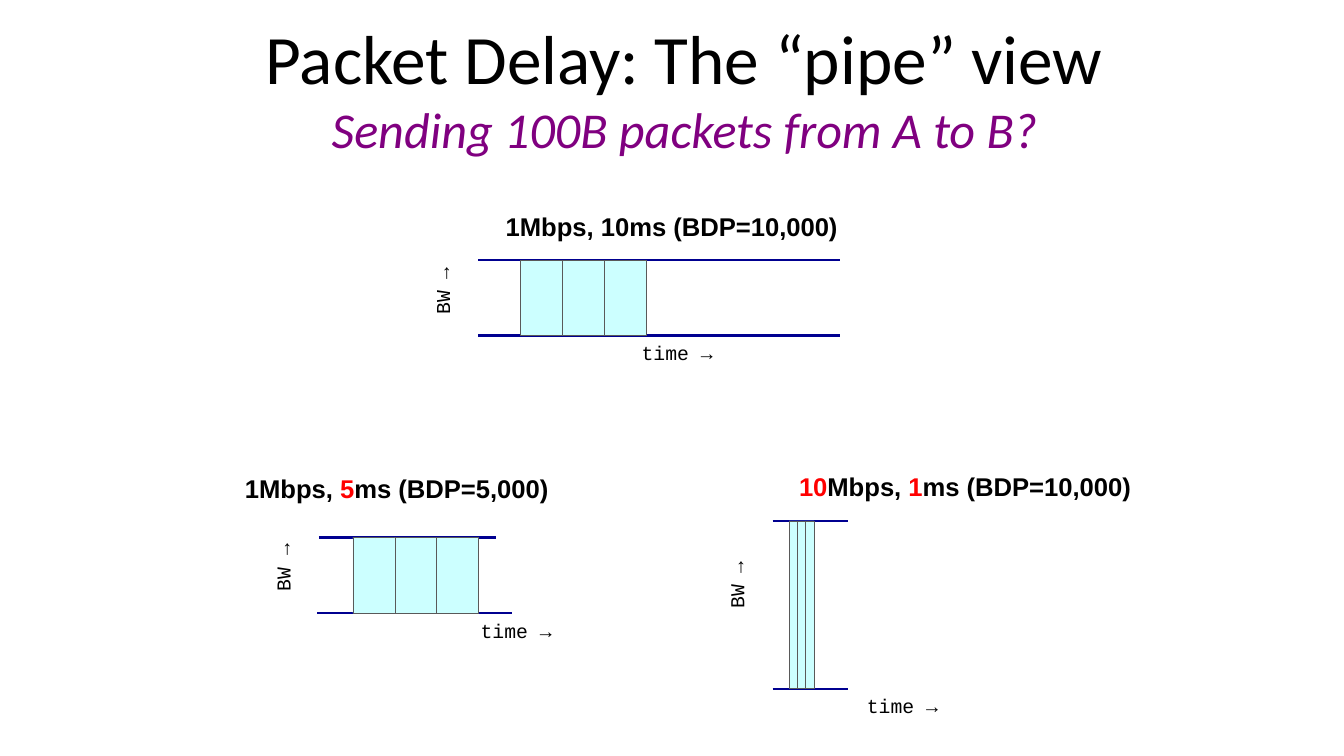
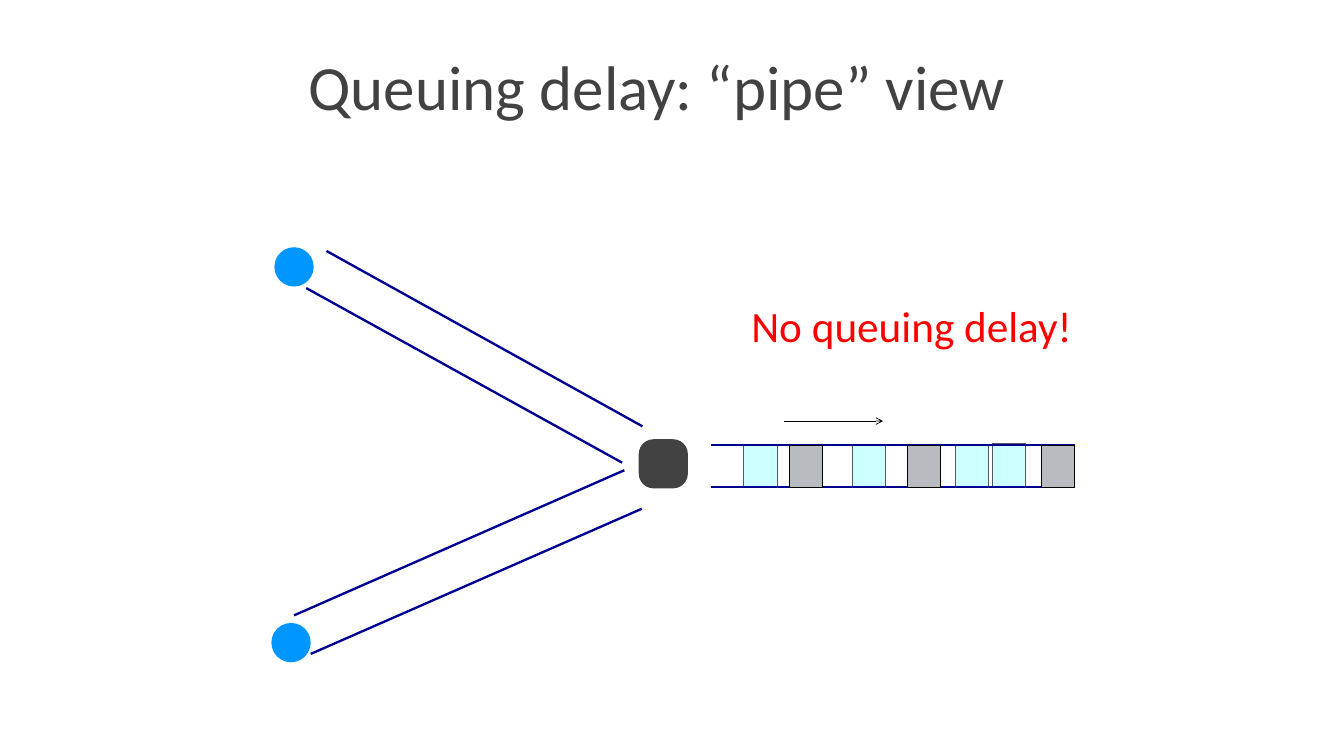
from dataclasses import dataclass

from pptx import Presentation
from pptx.dml.color import RGBColor as Color
from pptx.enum.shapes import MSO_CONNECTOR as Connector
from pptx.enum.shapes import MSO_SHAPE as Kind
from pptx.enum.text import MSO_ANCHOR as Anchor
from pptx.enum.text import MSO_AUTO_SIZE as AutoSize
from pptx.enum.text import PP_ALIGN as Align
from pptx.oxml.ns import qn
from pptx.util import Inches, Pt
from lxml.etree import SubElement


@dataclass(frozen=True)
class Theme:
    black: str = "000000"
    charcoal: str = "424242"
    purple: str = "800080"
    red: str = "FF0000"
    pipe: str = "000090"
    cyan: str = "CCFFFF"
    gray: str = "B8BCC1"
    outline: str = "595959"
    host: str = "0096FF"
    title_font: str = "Calibri"
    label_font: str = "Arial"
    axis_font: str = "Courier New"
    title: float = 66
    subtitle: float = 47.8
    plain_title: float = 60
    callout: float = 41.2
    label: float = 24.4
    axis: float = 18.8
    pipe_width: float = 2.25
    thin: float = 0.75


theme = Theme()


def draw_line(page, start, end, color=theme.pipe, width=theme.pipe_width, arrow=False):
    line = page.shapes.add_connector(Connector.STRAIGHT, *map(Inches, start + end))
    line.line.color.rgb = Color.from_string(color)
    line.line.width = Pt(width)
    if arrow:
        SubElement(line.line._get_or_add_ln(), qn("a:tailEnd"), type="arrow")
    SubElement(line._element.spPr, qn("a:effectLst"))


def draw_shape(page, kind, frame, fill, outline=None):
    shape = page.shapes.add_shape(kind, *map(Inches, frame))
    shape.shadow.inherit = False
    shape.fill.solid()
    shape.fill.fore_color.rgb = Color.from_string(fill)
    if outline:
        shape.line.color.rgb = Color.from_string(outline)
        shape.line.width = Pt(theme.thin)
    else:
        shape.line.fill.background()
    return shape


deck = Presentation()
deck.slide_width = Inches(17.78)
deck.slide_height = Inches(10)
delay_page, queue_page = [deck.slides.add_slide(deck.slide_layouts[6]) for _ in range(2)]

titles = [
    (delay_page, (2.89, 0.29, 12.33, 1.71),
     [("Packet Delay: The “pipe” view", theme.title, theme.black),
      ("Sending 100B packets from A to B?", theme.subtitle, theme.purple)]),
    (queue_page, (2.78, 0.32, 11.82, 1.62),
     [("Queuing delay: “pipe” view", theme.plain_title, theme.charcoal)]),
]
for page, frame, lines in titles:
    box = page.shapes.add_textbox(*map(Inches, frame))
    text = box.text_frame
    text.word_wrap = True
    text.vertical_anchor = Anchor.MIDDLE
    text.margin_left = text.margin_right = text.margin_top = text.margin_bottom = Inches(0.06)
    para = text.paragraphs[0]
    para.text = "\v".join(line[0] for line in lines)
    para.alignment = Align.CENTER
    for span, (_, size, color) in zip(para.runs, lines):
        span.font.name = theme.title_font
        span.font.size = Pt(size)
        span.font.color.rgb = Color.from_string(color)
        span.font.italic = color == theme.purple

captions = [
    (queue_page, (9.78, 3.89, 4.56, 0.83), [("No queuing delay!", theme.red)],
     theme.title_font, theme.callout, Align.CENTER, 0),
]

pipes = [
    dict(top=3.44, height=1, upper=(6.33, 11.11), lower=(6.33, 11.11),
         first=6.89, packet=0.555, label=(6.56, 2.64, 4.79, 0.58),
         time=8.24, bandwidth=(5.35, 3.68),
         words=[("1Mbps, 10ms (BDP=10,000)", theme.black)]),
    dict(top=6.89, height=2.22, upper=(10.22, 11.22), lower=(10.22, 11.22),
         first=10.44, packet=0.11, label=(10.44, 6.08, 4.79, 0.58),
         time=11.22, bandwidth=(9.24, 7.57),
         words=[("10", theme.red), ("Mbps, ", theme.black), ("1", theme.red),
                ("ms (BDP=10,000)", theme.black)]),
    dict(top=7.11, height=1, upper=(4.22, 6.56), lower=(4.2, 6.77),
         first=4.67, packet=0.555, label=(3.11, 6.11, 4.41, 0.58),
         time=6.11, bandwidth=(3.24, 7.34),
         words=[("1Mbps, ", theme.black), ("5", theme.red),
                ("ms (BDP=5,000)", theme.black)]),
]
for pipe in pipes:
    top, bottom = pipe["top"], pipe["top"] + pipe["height"]
    for (left, right), y in ((pipe["upper"], top), (pipe["lower"], bottom)):
        draw_line(delay_page, (left, y), (right, y))
    for index in range(3):
        left = pipe["first"] + index * pipe["packet"]
        draw_shape(delay_page, Kind.RECTANGLE, (left, top, pipe["packet"], pipe["height"]),
                   theme.cyan, theme.outline)
    captions += [
        (delay_page, pipe["label"], pipe["words"],
         theme.label_font, theme.label, Align.LEFT, 0),
        (delay_page, (pipe["time"], bottom, 1.32, 0.45), [("time →", theme.black)],
         theme.axis_font, theme.axis, Align.RIGHT, 0),
        (delay_page, (*pipe["bandwidth"], 1, 0.45), [("BW →", theme.black)],
         theme.axis_font, theme.axis, Align.RIGHT, 270),
    ]

incoming_walls = [
    ((4.32, 3.32), (8.5, 5.64)),
    ((4.05, 3.81), (8.23, 6.12)),
    ((3.89, 8.14), (8.26, 6.22)),
    ((4.11, 8.65), (8.49, 6.73)),
]
for start, end in incoming_walls:
    draw_line(queue_page, start, end)

link_top, link_bottom, link_length = 5.89, 6.44, 4.78
flows = [
    (9.4, theme.cyan, theme.outline, [(13.13, 5.87), (12.64, 5.89), (11.28, 5.89), (9.84, 5.89)]),
    (9.44, theme.gray, theme.black, [(10.44, 5.89), (13.78, 5.89), (12, 5.89)]),
]
for left, fill, outline, packets in flows:
    for y in (link_top, link_bottom):
        draw_line(queue_page, (left, y), (left + link_length, y))
    for corner in packets:
        draw_shape(queue_page, Kind.RECTANGLE, (*corner, 0.44, 0.56), fill, outline)

for corner in ((3.63, 3.27), (3.59, 8.24)):
    draw_shape(queue_page, Kind.OVAL, (*corner, 0.52, 0.52), theme.host)
router = draw_shape(queue_page, Kind.ROUNDED_RECTANGLE, (8.45, 5.81, 0.65, 0.65), theme.charcoal)
router.adjustments[0] = 0.3
draw_line(queue_page, (10.37, 5.57), (11.68, 5.57), theme.black, theme.thin, arrow=True)

for page, frame, words, font, size, alignment, rotation in captions:
    box = page.shapes.add_textbox(*map(Inches, frame))
    box.rotation = rotation
    text = box.text_frame
    text.word_wrap = alignment == Align.CENTER
    text.auto_size = AutoSize.SHAPE_TO_FIT_TEXT
    text.margin_left = text.margin_right = Inches(0.13)
    text.margin_top = text.margin_bottom = Inches(0.07)
    para = text.paragraphs[0]
    para.alignment = alignment
    if font == theme.label_font:
        para.line_spacing = 1.2
    for words_part, color in words:
        span = para.add_run()
        span.text = words_part
        span.font.name = font
        span.font.size = Pt(size)
        span.font.bold = font == theme.label_font
        span.font.color.rgb = Color.from_string(color)

deck.save("out.pptx")
